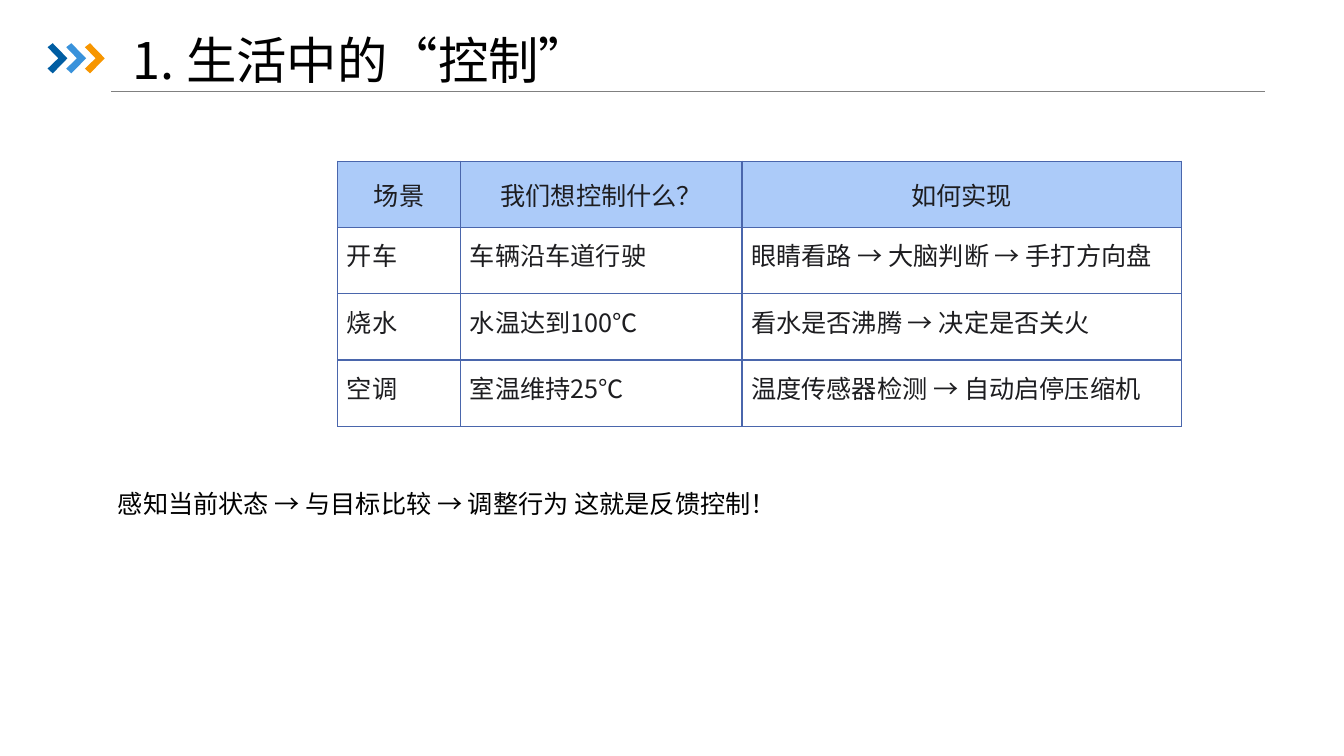
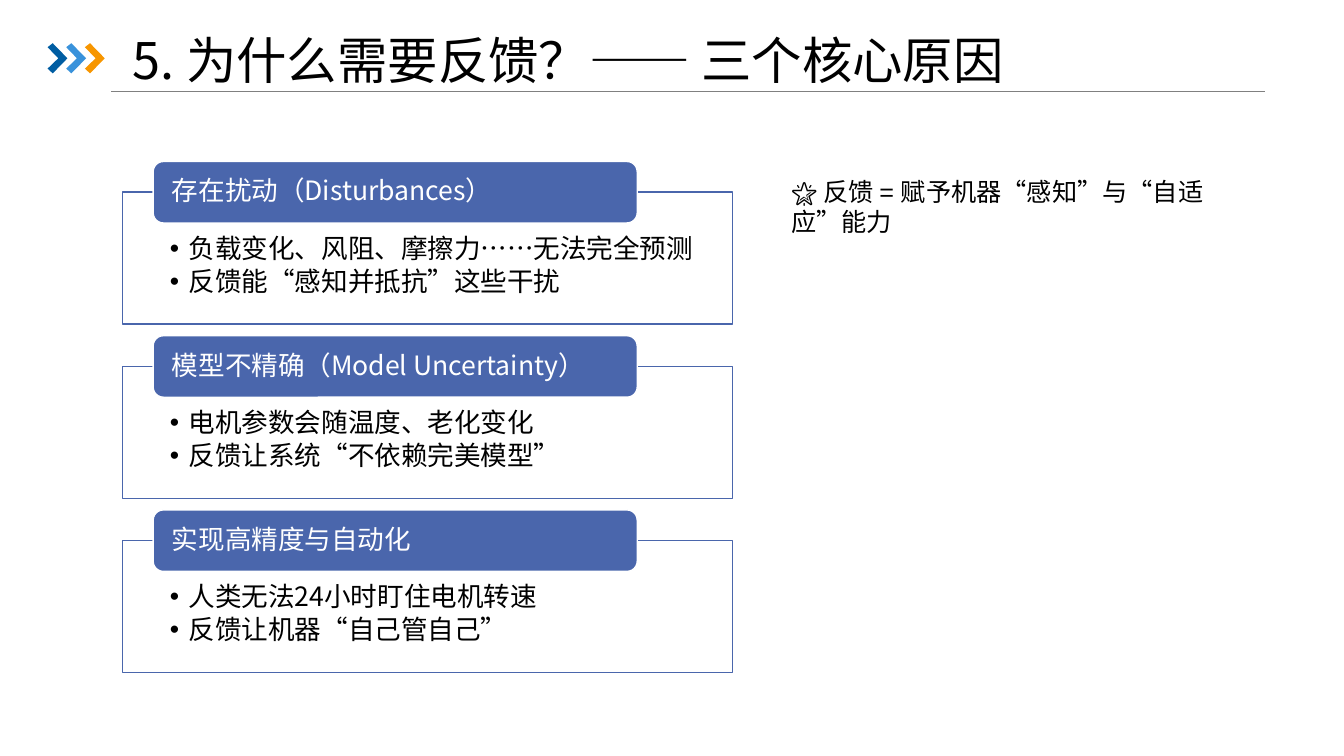
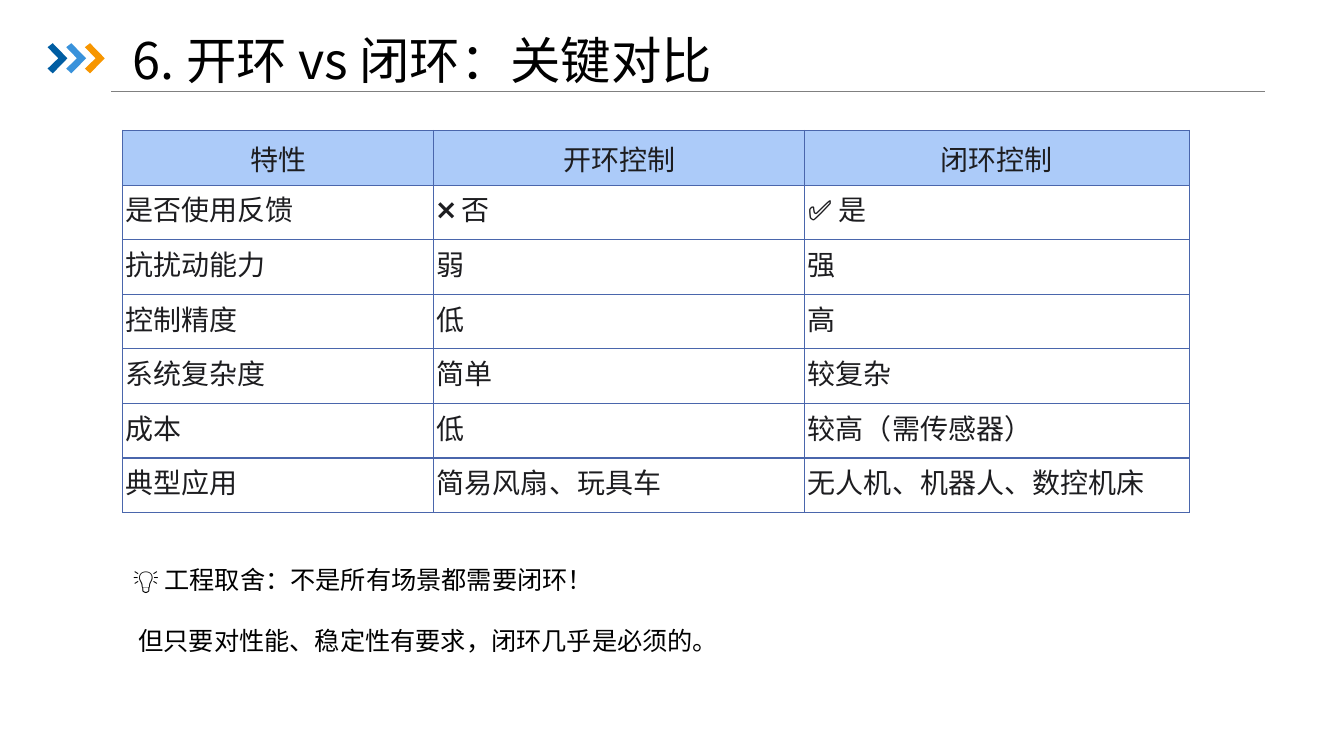
from dataclasses import dataclass

from lxml.etree import SubElement
from pptx import Presentation
from pptx.dml.color import RGBColor
from pptx.enum.shapes import MSO_CONNECTOR as LINK, MSO_SHAPE as SHAPE
from pptx.enum.text import MSO_ANCHOR as ANCHOR, PP_ALIGN as ALIGN
from pptx.oxml.ns import qn
from pptx.util import Cm, Pt


@dataclass(frozen=True)
class Theme:
    ink: str = "000000"
    cell: str = "1D1D20"
    white: str = "FFFFFF"
    blue: str = "4A66AC"
    pale: str = "ACCBF9"
    rule: str = "808080"
    marks: tuple = ("005DA2", "3992DB", "F79600")
    sans: str = "Noto Sans CJK SC"
    plain: str = "Arial"
    title: int = 36
    panel: int = 19
    note: int = 18


T = Theme()
rgb = RGBColor.from_string


# Text helpers
def style(para, size, color, font=T.sans):
    for run in para.runs:
        face = run.font
        face.size, face.bold, face.name = Pt(size), False, font
        face.color.rgb = rgb(color)
        SubElement(run._r.get_or_add_rPr(), qn("a:ea"), typeface=T.sans)


def write(frame, text, size, color, font=T.sans, anchor=ANCHOR.MIDDLE,
          pads=(0.25, 0.13, 0.25, 0.13), pitch=None):
    frame.word_wrap = True
    frame.vertical_anchor = anchor
    (frame.margin_left, frame.margin_top,
     frame.margin_right, frame.margin_bottom) = map(Cm, pads)
    frame.text = text
    for para in frame.paragraphs:
        para.alignment = ALIGN.LEFT
        para.line_spacing = pitch
        style(para, size, color, font)
    return frame.paragraphs


def indent(para, left, first=0, mark=None):
    props = para._p.get_or_add_pPr()
    props.set("marL", str(Cm(left)))
    props.set("indent", str(Cm(first)))
    if mark:
        SubElement(props, qn("a:buFont"), typeface=T.plain)
        SubElement(props, qn("a:buChar"), char=mark)


def label(slide, box, text, **opts):
    frame = slide.shapes.add_textbox(*map(Cm, box)).text_frame
    return write(frame, text, **opts)


def note(slide, box, text, anchor=ANCHOR.MIDDLE):
    return label(slide, box, text, size=T.note, color=T.ink,
                 font=T.plain, anchor=anchor)


# Shared heading: rule, three chevrons and title
def chevron(slide, left, top, color):
    dots = [(0, 0.1), (0.13, 0), (0.5, 0.38), (0.13, 0.76), (0, 0.64), (0.27, 0.38)]
    spots = [(Cm(left + x), Cm(top + y)) for x, y in dots]
    pen = slide.shapes.build_freeform(*spots[0])
    pen.add_line_segments(spots[1:], close=True)
    paint(pen.convert_to_shape(), color)


def paint(shape, fill, edge=None):
    shape.shadow.inherit = False
    shape.fill.solid()
    shape.fill.fore_color.rgb = rgb(fill)
    if edge:
        shape.line.color.rgb = rgb(edge)
        shape.line.width = Pt(1)
    else:
        shape.line.fill.background()


def start(deck, title):
    slide = deck.slides.add_slide(deck.slide_layouts[6])
    rule = slide.shapes.add_connector(
        LINK.STRAIGHT, Cm(2.8), Cm(2.31), Cm(31.88), Cm(2.31))
    rule.line.color.rgb = rgb(T.rule)
    rule.line.width = Pt(0.5)
    SubElement(rule._element.spPr, qn("a:effectLst"))
    for i, color in enumerate(T.marks):
        chevron(slide, 1.2 + 0.47 * i, 1.09, color)
    label(slide, (3.1, 1.04, 29.24, 1.09), title,
          size=T.title, color=T.ink, pitch=0.9)
    return slide


# Table with a pale head row and thin blue borders
def border(cell):
    props = cell._tc.get_or_add_tcPr()
    for i, side in enumerate(("a:lnL", "a:lnR", "a:lnT", "a:lnB")):
        line = props.makeelement(qn(side), {"w": str(Pt(1))})
        fill = SubElement(line, qn("a:solidFill"))
        SubElement(fill, qn("a:srgbClr"), val=T.blue)
        props.insert(i, line)


def grid(slide, left, top, height, cols, rows, size, pad):
    table = slide.shapes.add_table(
        len(rows), len(cols), Cm(left), Cm(top), Cm(sum(cols)), Cm(height)).table
    table.first_row = table.horz_banding = False
    for col, width in zip(table.columns, cols):
        col.width = Cm(width)
    for r, row in enumerate(rows):
        table.rows[r].height = Cm(height / len(rows))
        for c, text in enumerate(row):
            cell = table.cell(r, c)
            cell.margin_left = cell.margin_right = Cm(pad)
            cell.margin_top = cell.margin_bottom = Cm(pad)
            cell.text_frame.text = text
            para = cell.text_frame.paragraphs[0]
            style(para, size, T.cell)
            if r == 0:
                cell.vertical_anchor = ANCHOR.MIDDLE
                para.alignment = ALIGN.CENTER
                cell.fill.solid()
                cell.fill.fore_color.rgb = rgb(T.pale)
            else:
                cell.fill.background()
            border(cell)


# Outlined panel with a blue tab, wide enough for one-line text
def panel(slide, left, top, head, points):
    body = slide.shapes.add_shape(
        SHAPE.RECTANGLE, Cm(left), Cm(top + 0.77), Cm(15.37), Cm(3.33))
    paint(body, T.white, T.blue)
    paras = write(body.text_frame, "\n".join(points), T.panel, T.ink,
                  anchor=ANCHOR.TOP, pads=(1.19, 1.09, 0.3, 0.38), pitch=0.9)
    for para in paras:
        indent(para, 0.48, -0.48, "•")
        para.space_after = Pt(3)
    tab = slide.shapes.add_shape(
        SHAPE.ROUNDED_RECTANGLE, Cm(left + 0.77), Cm(top), Cm(12.2), Cm(1.55))
    paint(tab, T.blue, T.white)
    write(tab.text_frame, head, T.panel, T.white,
          pads=(0.4, 0, 0.4, 0), pitch=0.9)


# Slides
def daily(deck):
    slide = start(deck, "1. 生活中的“控制”")
    rows = [
        ("场景", "我们想控制什么？", "如何实现"),
        ("开车", "车辆沿车道行驶", "眼睛看路 → 大脑判断 → 手打方向盘"),
        ("烧水", "水温达到100℃", "看水是否沸腾 → 决定是否关火"),
        ("空调", "室温维持25℃", "温度传感器检测 → 自动启停压缩机"),
    ]
    grid(slide, 8.51, 4.06, 6.68, (3.1, 7.09, 11.07), rows, 18, 0.23)
    note(slide, (2.72, 12.17, 17.35, 1.02),
         "感知当前状态 → 与目标比较 → 调整行为 这就是反馈控制！")


def reasons(deck):
    slide = start(deck, "5. 为什么需要反馈？—— 三个核心原因")
    items = [
        ("存在扰动（Disturbances）",
         ("负载变化、风阻、摩擦力……无法完全预测", "反馈能“感知并抵抗”这些干扰")),
        ("模型不精确（Model Uncertainty）",
         ("电机参数会随温度、老化变化", "反馈让系统“不依赖完美模型”")),
        ("实现高精度与自动化",
         ("人类无法24小时盯住电机转速", "反馈让机器“自己管自己”")),
    ]
    for i, (head, points) in enumerate(items):
        panel(slide, 3.09, 4.07 + 4.39 * i, head, points)
    note(slide, (19.69, 4.32, 12.32, 1.02),
         "🌟 反馈 = 赋予机器“感知”与“自适应”能力", ANCHOR.TOP)


def compare(deck):
    slide = start(deck, "6. 开环 vs 闭环：关键对比")
    rows = [
        ("特性", "开环控制", "闭环控制"),
        ("是否使用反馈", "❌ 否", "✅ 是"),
        ("抗扰动能力", "弱", "强"),
        ("控制精度", "低", "高"),
        ("系统复杂度", "简单", "较复杂"),
        ("成本", "低", "较高（需传感器）"),
        ("典型应用", "简易风扇、玩具车", "无人机、机器人、数控机床"),
    ]
    grid(slide, 3.09, 3.29, 9.63, (7.84, 9.35, 9.69), rows, 20, 0.08)
    paras = note(slide, (3.1, 14.08, 24.94, 2.57),
                 "💡 工程取舍：不是所有场景都需要闭环！\n"
                 "但只要对性能、稳定性有要求，闭环几乎是必须的。")
    indent(paras[1], 0.14)
    paras[1].space_before = Pt(22)


def main():
    deck = Presentation()
    deck.slide_width, deck.slide_height = Cm(33.87), Cm(19.05)
    for build in (daily, reasons, compare):
        build(deck)
    deck.save("out.pptx")


if __name__ == "__main__":
    main()
